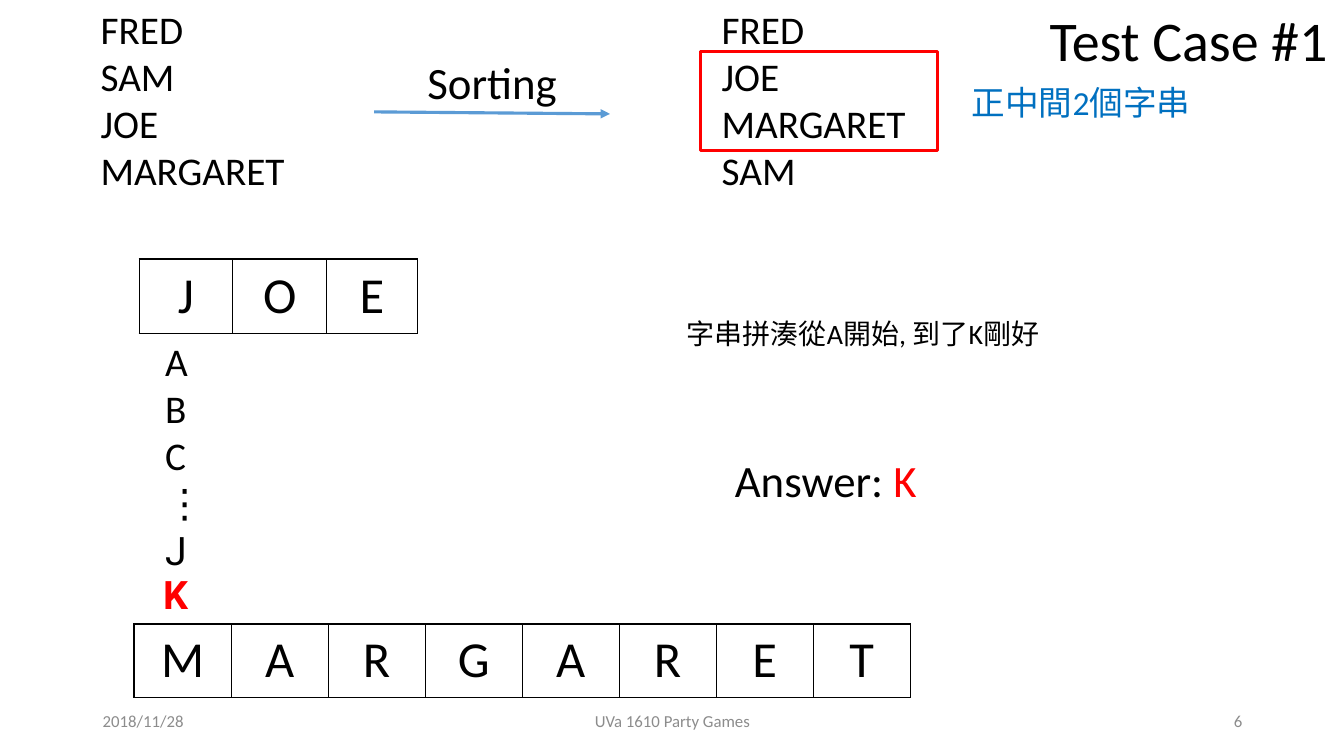
from lxml import etree
from pptx import Presentation
from pptx.dml.color import RGBColor
from pptx.enum.shapes import MSO_CONNECTOR, MSO_SHAPE
from pptx.enum.text import MSO_ANCHOR, MSO_AUTO_SIZE, PP_ALIGN
from pptx.oxml.ns import qn
from pptx.util import Inches, Pt

LEFT, CENTER, RIGHT = PP_ALIGN.LEFT, PP_ALIGN.CENTER, PP_ALIGN.RIGHT
TOP, MIDDLE = MSO_ANCHOR.TOP, MSO_ANCHOR.MIDDLE
TITLE_ONLY = 5
COLORS = {
    "text": "000000",
    "highlight": "FF0000",
    "note": "0070C0",
    "arrow": "5B9BD5",
    "footer": "8C8C8C",
}
LATIN, CJK, SYMBOL = "Calibri", "Noto Sans CJK SC", "Roboto"


def rgb(name):
    return RGBColor.from_string(COLORS[name])


def format_run(run, size, color="text", font=LATIN, bold=False):
    """Set the run's look; Latin text in Calibri is paired with the CJK font."""
    run.font.name = font
    run.font.size = Pt(size)
    run.font.bold = bold
    run.font.color.rgb = rgb(color)
    east_asian = etree.SubElement(run.font._element, qn("a:ea"))
    east_asian.set("typeface", CJK if font == LATIN else font)


def fill_text(frame, text, size, align=LEFT, anchor=TOP, **look):
    frame.word_wrap = True
    frame.vertical_anchor = anchor
    frame.text = text
    for paragraph in frame.paragraphs:
        paragraph.alignment = align
        for run in paragraph.runs:
            format_run(run, size, **look)


def add_text(slide, box, text, size, **look):
    frame = slide.shapes.add_textbox(*map(Inches, box)).text_frame
    fill_text(frame, text, size, **look)
    return frame


def add_title(slide, box, text):
    title = slide.shapes.title
    title.left, title.top, title.width, title.height = map(Inches, box)
    title.text_frame.auto_size = MSO_AUTO_SIZE.NONE
    fill_text(title.text_frame, text, 40)


def add_cell_borders(cell):
    properties = cell._tc.get_or_add_tcPr()
    for side in ("lnL", "lnR", "lnT", "lnB"):
        border = etree.SubElement(properties, qn(f"a:{side}"), w=str(Pt(1)))
        solid = etree.SubElement(border, qn("a:solidFill"))
        etree.SubElement(solid, qn("a:srgbClr"), val=COLORS["text"])


def add_letter_row(slide, left, top, height, word, widths, anchor):
    """Spell a word in a one-row table, one letter per cell."""
    table = slide.shapes.add_table(
        1, len(word), Inches(left), Inches(top), Inches(sum(widths)), Inches(height)
    ).table
    table.first_row = table.horz_banding = False
    for column, (letter, width) in enumerate(zip(word, widths)):
        table.columns[column].width = Inches(width)
        cell = table.cell(0, column)
        add_cell_borders(cell)
        cell.fill.background()
        fill_text(cell.text_frame, letter, 36, align=CENTER)
        cell.vertical_anchor = anchor


def add_arrow(slide, start, end):
    arrow = slide.shapes.add_connector(
        MSO_CONNECTOR.STRAIGHT, *map(Inches, start + end)
    )
    arrow.line.color.rgb = rgb("arrow")
    arrow.line.width = Pt(2.25)
    etree.SubElement(arrow.line._get_or_add_ln(), qn("a:tailEnd"), type="triangle")
    etree.SubElement(arrow._element.spPr, qn("a:effectLst"))


def add_frame(slide, box):
    outline = slide.shapes.add_shape(MSO_SHAPE.RECTANGLE, *map(Inches, box))
    outline.shadow.inherit = False
    outline.fill.background()
    outline.line.color.rgb = rgb("highlight")
    outline.line.width = Pt(2.25)


def add_footer(slide):
    for left, width, text, align in (
        (0.92, 3, "2018/11/28", LEFT),
        (4.42, 4.5, "UVa 1610 Party Games", CENTER),
        (9.42, 3, "6", RIGHT),
    ):
        add_text(slide, (left, 6.95, width, 0.4), text, 12,
                 align=align, anchor=MIDDLE, color="footer")


def main():
    presentation = Presentation()
    presentation.slide_width = Inches(13.33)
    presentation.slide_height = Inches(7.5)
    slide = presentation.slides.add_slide(presentation.slide_layouts[TITLE_ONLY])
    add_title(slide, (10.31, 0, 3.24, 0.77), "Test Case #1")

    names = ["FRED", "SAM", "JOE", "MARGARET"]
    add_text(slide, (0.9, 0, 2.56, 1.99), "\n".join(names), 28)
    add_text(slide, (7.06, 0, 2.09, 1.99), "\n".join(sorted(names)), 28)
    add_arrow(slide, (3.71, 1.11), (6.05, 1.13))
    add_text(slide, (4.14, 0.49, 1.65, 0.64), "Sorting", 32)
    add_frame(slide, (6.95, 0.51, 2.35, 0.98))
    add_text(slide, (9.54, 0.76, 2.43, 0.5), "正中間2個字串", 24, color="note")

    add_letter_row(slide, 1.38, 2.57, 0.74, "JOE", [0.93, 0.93, 0.9], MIDDLE)
    add_letter_row(slide, 1.33, 6.19, 0.73, "MARGARET", [7.7 / 8] * 8, TOP)
    candidates = add_text(slide, (1.54, 3.3, 0.54, 2.46), "A\nB\nC\n⋮\nJ", 28)
    for paragraph in candidates.paragraphs[3:]:
        paragraph.runs[0].font.name = SYMBOL
    add_text(slide, (1.52, 5.61, 0.54, 0.57), "K", 28,
             color="highlight", font=SYMBOL, bold=True)

    add_text(slide, (6.71, 3.09, 3.85, 0.44), "字串拼湊從A開始, 到了K剛好", 20)
    answer = add_text(slide, (7.19, 4.44, 2.6, 0.64), "Answer: ", 32)
    solution = answer.paragraphs[0].add_run()
    solution.text = "K"
    format_run(solution, 32, color="highlight")

    add_footer(slide)
    presentation.save("out.pptx")


if __name__ == "__main__":
    main()
